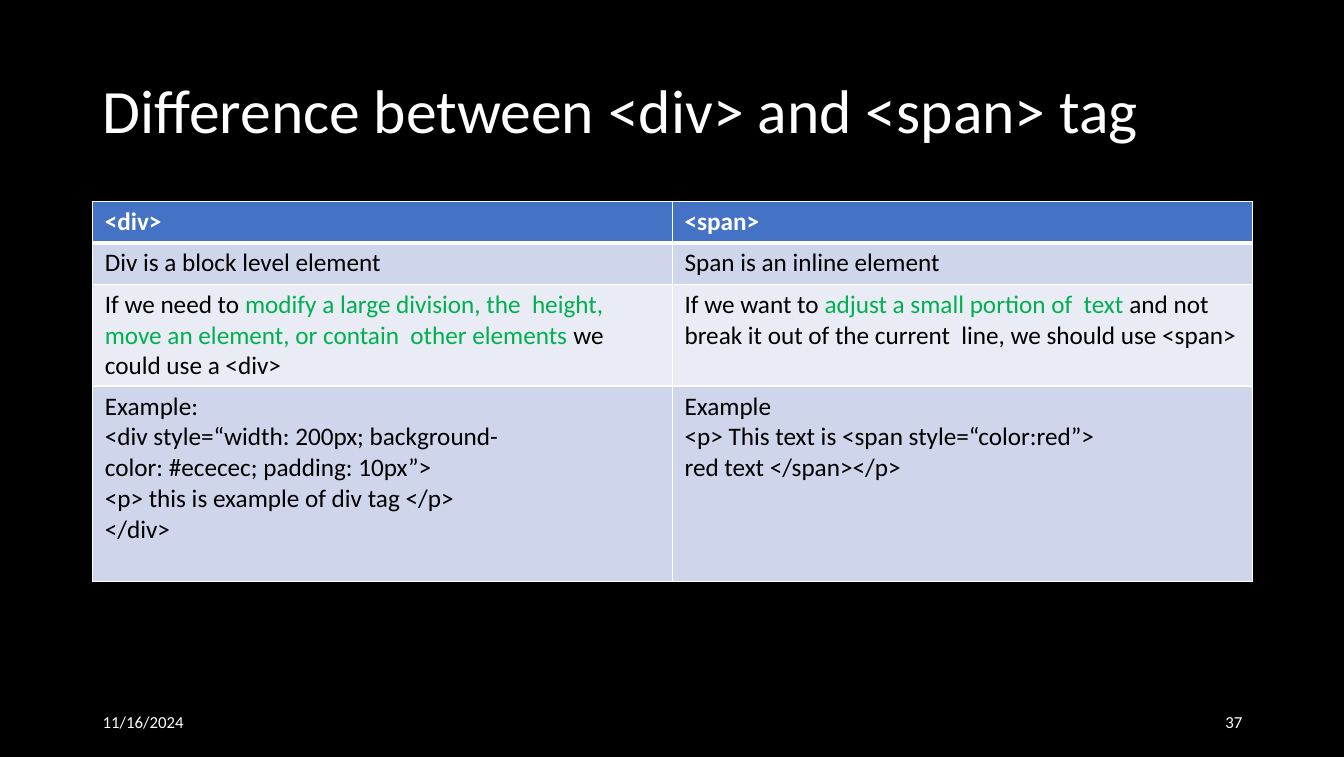
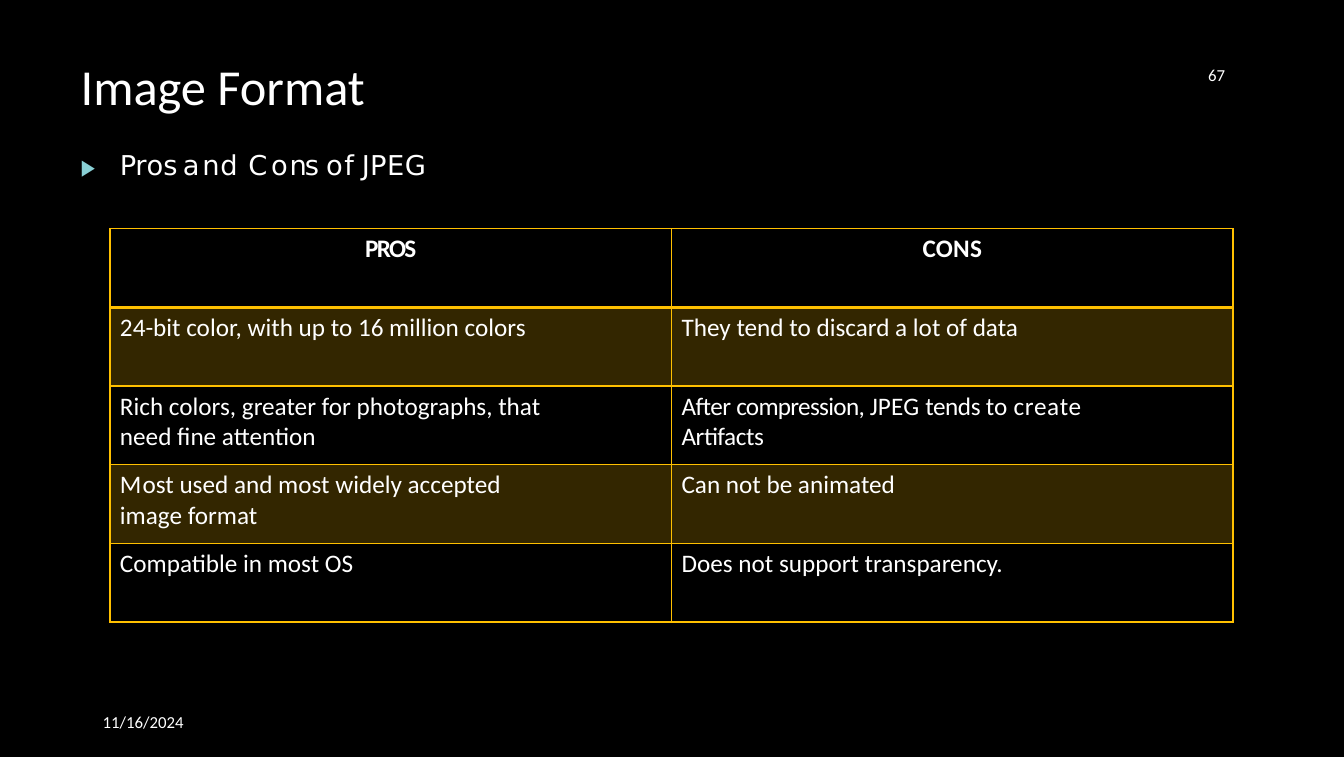
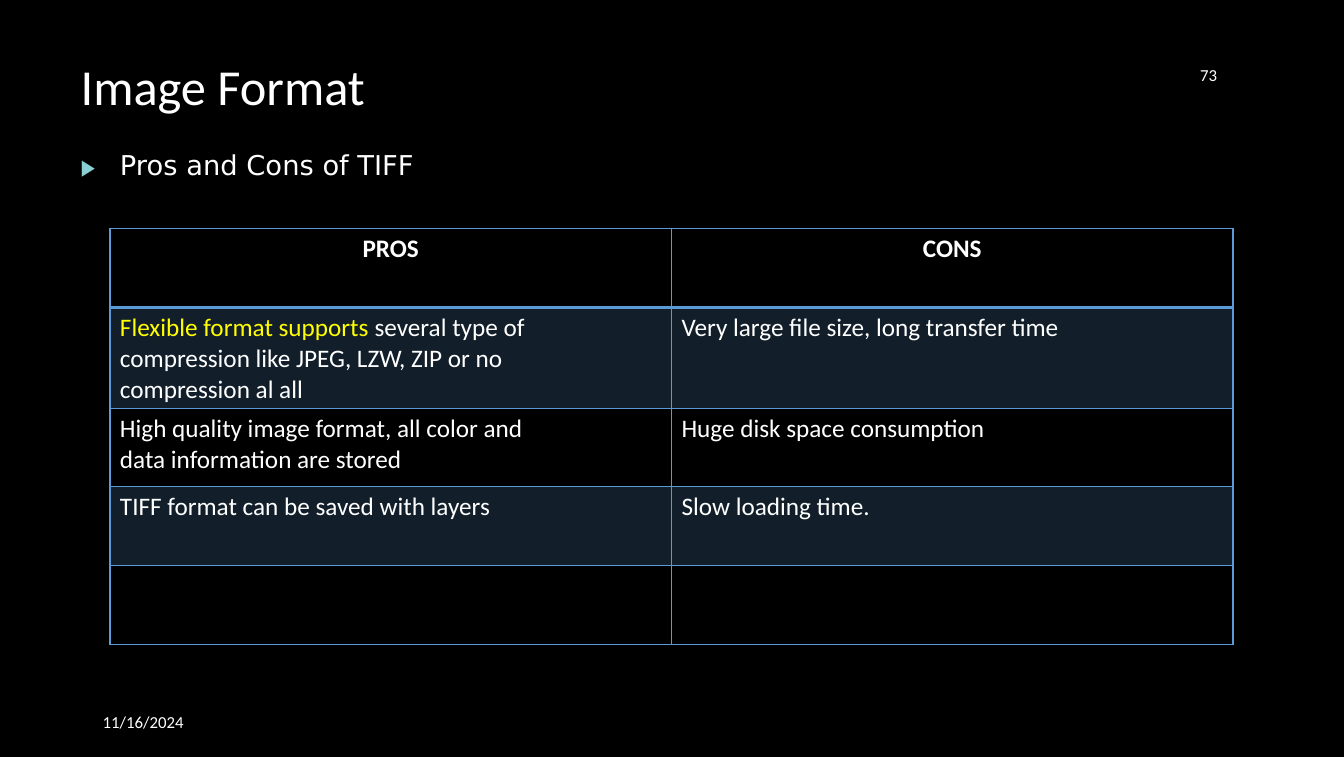
"""Build three slides comparing HTML tags and image formats in tables."""
from dataclasses import dataclass
from typing import Optional

import pptx
import pptx.dml.color
import pptx.enum.text
import pptx.oxml.ns
import pptx.slide
import pptx.table
import pptx.text.text
import pptx.util
from lxml import etree
from pptx.util import Inches

Align = pptx.enum.text.PP_ALIGN
Anchor = pptx.enum.text.MSO_ANCHOR


@dataclass(frozen=True)
class Theme:
    font: str = "Calibri"
    subtitle_font: str = "DejaVu Sans"
    marker_font: str = "Courier New"
    background: str = "000000"
    light: str = "FFFFFF"
    dark: str = "000000"
    green: str = "00B050"
    yellow: str = "FFFF00"
    marker: str = "89D0D5"
    header_blue: str = "4472C4"
    band_dark: str = "CFD5EA"
    band_light: str = "E9EBF5"
    gold: str = "FFC000"
    blue: str = "5B9BD5"
    large_title: float = 44
    title: float = 36
    subtitle: float = 19.5
    body: float = 18
    marker_size: float = 16
    footer: float = 12


THEME = Theme()


@dataclass(frozen=True)
class Run:
    text: str
    color: Optional[str] = None
    spacing: float = 0
    size: Optional[float] = None
    font: Optional[str] = None


Line = tuple[Run, ...]
Cell = tuple[Line, ...]


@dataclass(frozen=True)
class TextStyle:
    size: float
    color: str = THEME.light
    font: str = THEME.font
    bold: bool = False
    align: Align = Align.LEFT
    line_spacing: Optional[float] = None


@dataclass(frozen=True)
class Box:
    left: float
    top: float
    width: float
    height: float
    insets: tuple[float, float, float, float] = (0.1, 0.05, 0.1, 0.05)
    anchor: Anchor = Anchor.MIDDLE


@dataclass(frozen=True)
class TableStyle:
    border: str
    header_border: float
    header_fill: Optional[str]
    bands: tuple[Optional[str], Optional[str]]
    header_text: TextStyle
    body_text: TextStyle
    left_inset: float
    right_inset: float
    bottom_inset: float
    opacity: int = 100


@dataclass(frozen=True)
class TableData:
    left: float
    top: float
    column_width: float
    row_heights: tuple[float, ...]
    rows: tuple[tuple[Cell, Cell], ...]


@dataclass(frozen=True)
class FormatPage:
    number: str
    number_left: float
    subtitle_width: float
    subtitle: Line
    style: TableStyle
    table: TableData


def plain(*lines: str) -> Cell:
    return tuple((Run(line),) for line in lines)


def outlined_style(color: str) -> TableStyle:
    return TableStyle(
        color, 2, None, (color, None),
        TextStyle(THEME.body, bold=True, align=Align.CENTER), TextStyle(THEME.body),
        left_inset=0.1, right_inset=1.1, bottom_inset=0, opacity=20)


TAG_STYLE = TableStyle(
    THEME.light, 3, THEME.header_blue, (THEME.band_dark, THEME.band_light),
    TextStyle(THEME.body, bold=True), TextStyle(THEME.body, THEME.dark),
    left_inset=0.12, right_inset=0.12, bottom_inset=0.05)

TAG_TABLE = TableData(0.92, 2, 5.75, (0.41, 0.41, 1.01, 1.94), (
    (plain("<div>"), plain("<span>")),
    (plain("Div is a block level element"), plain("Span is an inline element")),
    (
        ((Run("If we need to "),
          Run("modify a large division, the  height, move an element, "
              "or contain  other elements ", THEME.green),
          Run("we could use a <div>")),),
        ((Run("If we want to "),
          Run("adjust a small portion of  text", THEME.green),
          Run(" and not break it out of the current  line, we should use <span>")),),
    ),
    (
        plain("Example:", "<div style=“width: 200px; background-",
              "color: #ececec; padding: 10px”>",
              "<p> this is example of div tag </p>", "</div>"),
        plain("Example", "<p> This text is <span style=“color:red”>",
              "red text </span></p>"),
    ),
))

JPEG_TABLE = TableData(1.09, 2.27, 5.57, (0.78,) * 5, (
    (((Run("PROS", spacing=-1.2),),), ((Run("CONS", spacing=0.2),),)),
    (plain("24-bit color, with up to 16 million colors"),
     plain("They tend to discard a lot of data")),
    (plain("Rich colors, greater for photographs, that", "need fine attention"),
     ((Run("After ", spacing=-0.4), Run("compression, ", spacing=-0.5),
       Run("JPEG ", spacing=0.1), Run("tends ", spacing=-0.3),
       Run("to ", spacing=0.1), Run("create", spacing=0.5)),
      (Run("Artifacts", spacing=-0.3),))),
    (((Run("M", spacing=0.7), Run("ost used and most widely accepted")),
      (Run("image format"),)),
     plain("Can not be animated")),
    (plain("Compatible in most OS"), plain("Does not support transparency.")),
))

TIFF_TABLE = TableData(1.09, 2.27, 5.57, (0.78, 1, 0.78, 0.78, 0.78), (
    (plain("PROS"), plain("CONS")),
    (((Run("Flexible format supports ", THEME.yellow),
       Run("several type of compression like JPEG, LZW, ZIP or no compression al all")),),
     plain("Very large file size, long transfer time")),
    (plain("High quality image format, all color and", "data information are stored"),
     plain("Huge disk space consumption")),
    (plain("TIFF format can be saved with layers"), plain("Slow loading time.")),
    ((), ()),
))

JPEG_SUBTITLE = tuple(Run(text, spacing=spacing) for text, spacing in (
    ("Pr", -0.4), ("o", -0.3), ("s ", -2.5), ("a", 1.8), ("nd ", 0.6), ("C", 2.7),
    ("o", 1.2), ("ns ", -1.4), ("o", 1.2), ("f ", -0.7), ("JPEG", 0.3)))

FORMAT_PAGES = (
    FormatPage("67", 11.33, 3.44, JPEG_SUBTITLE, outlined_style(THEME.gold), JPEG_TABLE),
    FormatPage("73", 11.25, 5.04, (Run("Pros and Cons of TIFF"),),
               outlined_style(THEME.blue), TIFF_TABLE),
)


def add_element(parent: etree._Element, tag: str, **attributes: str) -> etree._Element:
    return etree.SubElement(parent, pptx.oxml.ns.qn(tag), attributes)


def rgb(color: str) -> pptx.dml.color.RGBColor:
    return pptx.dml.color.RGBColor.from_string(color)


def write_lines(frame: pptx.text.text.TextFrame, lines: Cell, style: TextStyle) -> None:
    for index, line in enumerate(lines):
        paragraph = frame.add_paragraph() if index else frame.paragraphs[0]
        paragraph.alignment = style.align
        if style.line_spacing:
            paragraph.line_spacing = style.line_spacing
        for item in line:
            run = paragraph.add_run()
            run.text = item.text
            run.font.size = pptx.util.Pt(item.size or style.size)
            run.font.name = item.font or style.font
            run.font.bold = style.bold
            run.font.color.rgb = rgb(item.color or style.color)
            if item.spacing:
                run._r.get_or_add_rPr().set("spc", str(round(item.spacing * 100)))


def add_text(slide: pptx.slide.Slide, box: Box, line: Line,
             style: TextStyle) -> pptx.text.text.TextFrame:
    shape = slide.shapes.add_textbox(
        Inches(box.left), Inches(box.top), Inches(box.width), Inches(box.height))
    frame = shape.text_frame
    frame.word_wrap = True
    frame.vertical_anchor = box.anchor
    (frame.margin_left, frame.margin_top,
     frame.margin_right, frame.margin_bottom) = map(Inches, box.insets)
    write_lines(frame, (line,), style)
    return frame


def add_border(cell: pptx.table._Cell, side: str, color: str, width: float) -> None:
    properties = cell._tc.get_or_add_tcPr()
    line = add_element(properties, f"a:ln{side}", w=str(pptx.util.Pt(width)))
    add_element(add_element(line, "a:solidFill"), "a:srgbClr", val=color)


def fill_cell(cell: pptx.table._Cell, color: Optional[str], opacity: int) -> None:
    if color is None:
        cell.fill.background()
        return
    cell.fill.solid()
    cell.fill.fore_color.rgb = rgb(color)
    if opacity < 100:
        for element in cell._tc.tcPr.find(pptx.oxml.ns.qn("a:solidFill")):
            add_element(element, "a:alpha", val=str(opacity * 1000))


def add_comparison(slide: pptx.slide.Slide, data: TableData, style: TableStyle) -> None:
    columns = len(data.rows[0])
    table = slide.shapes.add_table(
        len(data.rows), columns, Inches(data.left), Inches(data.top),
        Inches(data.column_width * columns), Inches(sum(data.row_heights))).table
    table.horz_banding = False
    for column in table.columns:
        column.width = Inches(data.column_width)
    for row_index, (height, row) in enumerate(zip(data.row_heights, data.rows)):
        table.rows[row_index].height = Inches(height)
        is_header = row_index == 0
        fill = style.header_fill if is_header else style.bands[(row_index - 1) % 2]
        widths = {"L": 1, "R": 1,
                  "T": style.header_border if row_index == 1 else 1,
                  "B": style.header_border if is_header else 1}
        for column_index, lines in enumerate(row):
            cell = table.cell(row_index, column_index)
            cell.margin_left = Inches(style.left_inset)
            cell.margin_right = Inches(style.left_inset if is_header else style.right_inset)
            cell.margin_top = Inches(0.05)
            cell.margin_bottom = Inches(style.bottom_inset)
            for side, width in widths.items():
                add_border(cell, side, style.border, width)
            fill_cell(cell, fill, style.opacity)
            write_lines(cell.text_frame, lines,
                        style.header_text if is_header else style.body_text)


def add_page(presentation: pptx.presentation.Presentation, title: str, title_box: Box,
             title_style: TextStyle, number: str, number_box: Box) -> pptx.slide.Slide:
    slide = presentation.slides.add_slide(presentation.slide_layouts[6])
    add_text(slide, title_box, (Run(title),), title_style)
    add_text(slide, Box(0.92, 6.96, 3, 0.4), (Run("11/16/2024"),), TextStyle(THEME.footer))
    add_text(slide, number_box, (Run(number),), TextStyle(THEME.footer, align=Align.RIGHT))
    return slide


def add_tag_slide(presentation: pptx.presentation.Presentation) -> None:
    slide = add_page(
        presentation, "Difference between <div> and <span> tag", Box(0.92, 0.4, 11.5, 1.45),
        TextStyle(THEME.large_title, line_spacing=0.9), "37", Box(9.42, 6.96, 3, 0.4))
    add_comparison(slide, TAG_TABLE, TAG_STYLE)


def add_format_slide(presentation: pptx.presentation.Presentation, page: FormatPage) -> None:
    insets = (0.01, 0.02, 0, 0)
    slide = add_page(
        presentation, "Image Format", Box(0.79, 0.52, 10.37, 0.63, insets),
        TextStyle(THEME.title), page.number, Box(page.number_left, 0.32, 0.92, 0.84))
    marker = Run("▶\t", THEME.marker, -1.6, THEME.marker_size, THEME.marker_font)
    frame = add_text(
        slide, Box(0.79, 1.45, page.subtitle_width, 0.36, insets, Anchor.TOP),
        (marker, *page.subtitle), TextStyle(THEME.subtitle, font=THEME.subtitle_font))
    tabs = add_element(frame.paragraphs[0]._p.get_or_add_pPr(), "a:tabLst")
    add_element(tabs, "a:tab", pos=str(Inches(0.39)), algn="l")
    add_comparison(slide, page.table, page.style)


def main() -> None:
    presentation = pptx.Presentation()
    presentation.slide_width = Inches(13.33)
    presentation.slide_height = Inches(7.51)
    background = presentation.slide_master.background.fill
    background.solid()
    background.fore_color.rgb = rgb(THEME.background)
    add_tag_slide(presentation)
    for page in FORMAT_PAGES:
        add_format_slide(presentation, page)
    presentation.save("out.pptx")


if __name__ == "__main__":
    main()
